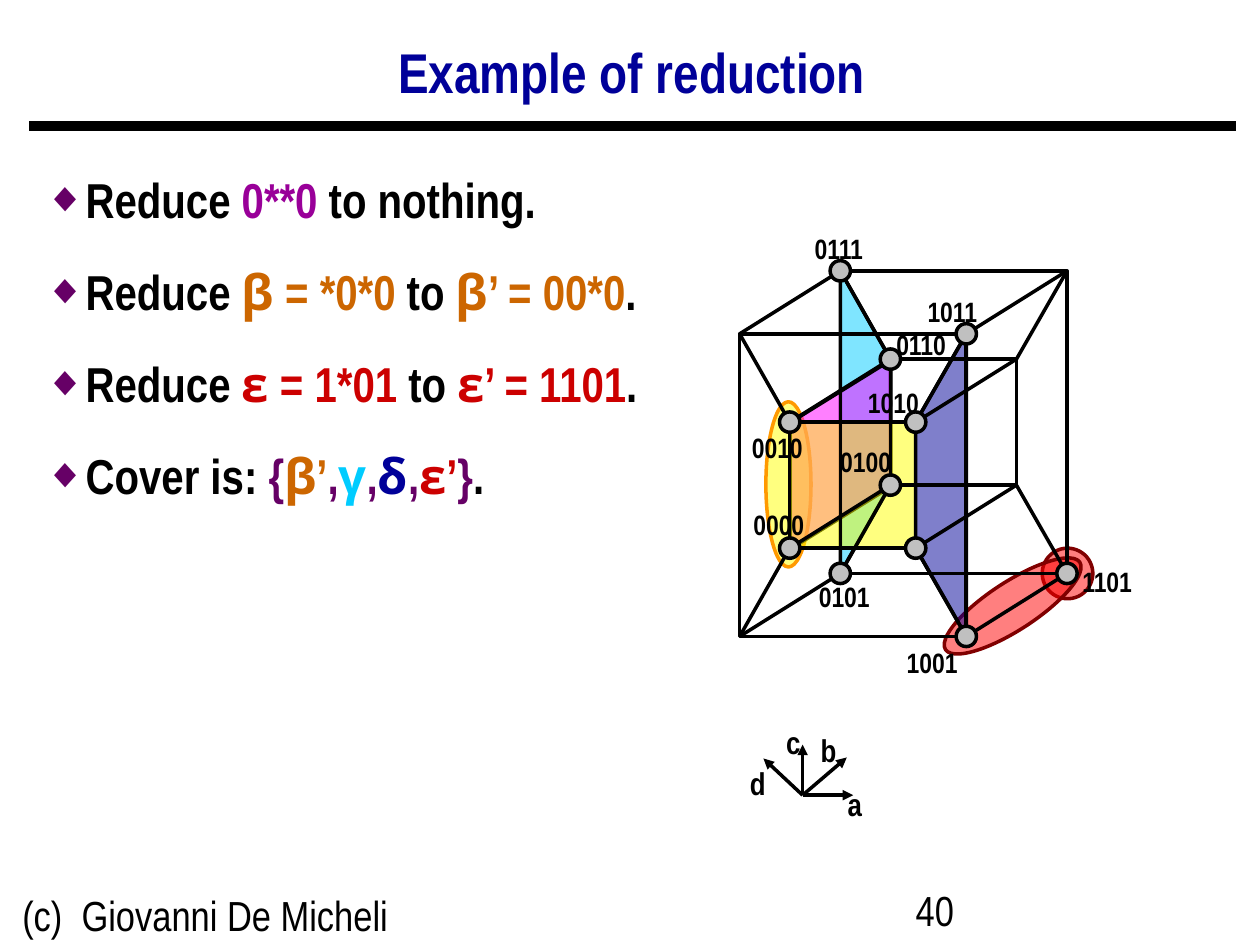
from itertools import product

from lxml import etree
from pptx import Presentation
from pptx.dml.color import RGBColor
from pptx.enum.shapes import MSO_CONNECTOR, MSO_SHAPE
from pptx.enum.text import MSO_ANCHOR, MSO_AUTO_SIZE, PP_ALIGN
from pptx.oxml.ns import qn
from pptx.util import Cm, Pt

STRAIGHT = MSO_CONNECTOR.STRAIGHT
OVAL, RECTANGLE = MSO_SHAPE.OVAL, MSO_SHAPE.RECTANGLE
PARALLELOGRAM = MSO_SHAPE.PARALLELOGRAM
CENTER = PP_ALIGN.CENTER
MIDDLE, TOP = MSO_ANCHOR.MIDDLE, MSO_ANCHOR.TOP
NO_FIT, GROW = MSO_AUTO_SIZE.NONE, MSO_AUTO_SIZE.SHAPE_TO_FIT_TEXT

BLACK = RGBColor(0x00, 0x00, 0x00)
GREY = RGBColor(0xC0, 0xC0, 0xC0)
NAVY = RGBColor(0x00, 0x00, 0x99)
PLUM = RGBColor(0x66, 0x00, 0x66)
PURPLE = RGBColor(0x99, 0x00, 0x99)
BROWN = RGBColor(0xCC, 0x66, 0x00)
CRIMSON = RGBColor(0xCC, 0x00, 0x00)
CYAN = RGBColor(0x00, 0xCC, 0xFF)
MAGENTA = RGBColor(0xFF, 0x00, 0xFF)
YELLOW = RGBColor(0xFF, 0xFF, 0x00)
ORANGE = RGBColor(0xFF, 0x99, 0x00)
RED = RGBColor(0xFF, 0x00, 0x00)
MAROON = RGBColor(0x80, 0x00, 0x00)

BULLETS = [
    [("Reduce ", BLACK), ("0**0", PURPLE), (" to nothing.", BLACK)],
    [("Reduce ", BLACK), ("β", BROWN), (" = *0*0", BROWN), (" to ", BLACK),
     ("β", BROWN), ("’ = 00*0", BROWN), (".", BLACK)],
    [("Reduce ", BLACK), ("ε", CRIMSON), (" = 1*01", CRIMSON), (" to ", BLACK),
     ("ε", CRIMSON), ("’ = 1101", CRIMSON), (".", BLACK)],
    [("Cover is: ", BLACK), ("{", PLUM), ("β", BROWN), ("’", BROWN), (",", PLUM),
     ("γ", CYAN), (",", PLUM), ("δ", NAVY), (",", PLUM), ("ε", CRIMSON),
     ("’", CRIMSON), ("}", PLUM), (".", BLACK)],
]
VERTEX_LABELS = {
    "1001": (18.03, 12.88), "0111": (16.15, 4.55), "1011": (18.44, 5.82),
    "0110": (17.81, 6.48), "0010": (14.91, 8.56), "0000": (14.94, 10.11),
    "0101": (16.26, 11.56), "1101": (21.56, 11.25), "0100": (16.69, 8.84),
    "1010": (17.25, 7.65),
}
NODES = [*VERTEX_LABELS, "1000"]
NODE_SIZE = 0.41
AXES_ORIGIN = (16.18, 16.03)
AXES = {  # letter: (arrow tip, corner of the letter box)
    "a": ((17.2, 16.03), (16.84, 15.7)),
    "b": ((17.07, 15.27), (16.31, 14.61)),
    "c": ((16.18, 15.01), (15.6, 14.45)),
    "d": ((15.39, 15.29), (14.88, 15.27)),
}


def vertex(code):
    """Position in cm of the hypercube vertex with bits a, b, c, d."""
    a, b, c, d = map(int, code)
    left, bottom, width, height = (14.91, 12.83, 4.57, 6.1) if d else (15.92, 11.05, 2.54, 2.54)
    return left + a * width + b * 2.03, bottom - c * height - b * 1.27


def set_values(target, values):
    for name, value in values.items():
        setattr(target, name, value)


class SlideBuilder:
    font, greek_font = "Arial Narrow", "Noto Sans"

    def __init__(self, slide):
        self.slide = slide
        self.shapes = slide.shapes

    def place(self, shape, left, top, width, height):
        set_values(shape, {"left": Cm(left), "top": Cm(top),
                           "width": Cm(width), "height": Cm(height)})

    def run(self, paragraph, text, size, colour=BLACK, bold=True):
        run = paragraph.add_run()
        run.text = text
        name = self.greek_font if text in "βγδε" else self.font
        set_values(run.font, {"name": name, "size": Pt(size), "bold": bold})
        run.font.color.rgb = colour

    def title(self, text, *box):
        shape = self.shapes.title
        self.place(shape, *box)
        set_values(shape.text_frame, {"vertical_anchor": MIDDLE, "auto_size": NO_FIT})
        paragraph = shape.text_frame.paragraphs[0]
        set_values(paragraph, {"alignment": CENTER, "line_spacing": 0.9})
        self.run(paragraph, text, 32, NAVY)

    def bullets(self, items, *box):
        shape = self.slide.placeholders[1]
        self.place(shape, *box)
        frame = shape.text_frame
        set_values(frame, {"vertical_anchor": TOP, "auto_size": NO_FIT})
        for index, item in enumerate(items):
            paragraph = frame.add_paragraph() if index else frame.paragraphs[0]
            set_values(paragraph, {"line_spacing": 1.25,
                                   "space_before": Pt(10.5 if index else 0)})
            properties = paragraph._p.get_or_add_pPr()
            properties.set("marL", str(Cm(0.79)))
            properties.set("indent", str(Cm(-0.79)))
            colour = etree.SubElement(properties, qn("a:buClr"))
            etree.SubElement(colour, qn("a:srgbClr"), val=str(PLUM))
            etree.SubElement(properties, qn("a:buSzPct"), val="85000")
            etree.SubElement(properties, qn("a:buChar"), char="◆")
            for text, text_colour in item:
                self.run(paragraph, text, 28, text_colour)

    def text(self, text, size, *box, bold=False):
        frame = self.shapes.add_textbox(*map(Cm, box)).text_frame
        frame.word_wrap = True
        self.run(frame.paragraphs[0], text, size, bold=bold)
        return frame

    def label(self, text, size, *box):
        frame = self.text(text, size, *box, bold=True)
        set_values(frame, {"word_wrap": False, "auto_size": GROW,
                           "margin_left": 0, "margin_right": 0})
        frame.paragraphs[0].alignment = CENTER

    def line(self, start, end, width=2, arrow=False, cap="flat"):
        connector = self.shapes.add_connector(STRAIGHT, *map(Cm, (*start, *end)))
        connector.line.color.rgb = BLACK
        connector.line.width = Pt(width)
        outline = connector.line._get_or_add_ln()
        outline.set("cap", cap)
        if arrow:
            etree.SubElement(outline, qn("a:tailEnd"), type="triangle")
        etree.SubElement(connector._element.spPr, qn("a:effectLst"))

    def paint(self, shape, fill, outline, alpha):
        shape.shadow.inherit = False
        shape.line.color.rgb = outline
        shape.line.width = Pt(2)
        if fill is None:
            shape.fill.background()
            return
        shape.fill.solid()
        shape.fill.fore_color.rgb = fill
        if alpha < 100:
            colour = shape._element.spPr.find(qn("a:solidFill"))[0]
            etree.SubElement(colour, qn("a:alpha"), val=str(alpha * 1000))

    def shape(self, kind, *box, fill=None, outline=BLACK, alpha=50, rotation=0):
        shape = self.shapes.add_shape(kind, *map(Cm, box))
        shape.rotation = rotation
        self.paint(shape, fill, outline, alpha)
        return shape

    def face(self, low, high, fill=None):
        """Upright rectangle between its lower left and upper right vertices."""
        left, bottom = vertex(low)
        right, top = vertex(high)
        self.shape(RECTANGLE, left, top, right - left, bottom - top, fill=fill)

    def polygon(self, codes, fill):
        points = [tuple(map(Cm, vertex(code))) for code in codes]
        builder = self.shapes.build_freeform(*points[0])
        builder.add_line_segments(points[1:], close=True)
        self.paint(builder.convert_to_shape(), fill, BLACK, 50)


def main():
    presentation = Presentation()
    set_values(presentation, {"slide_width": Cm(25.4), "slide_height": Cm(19.05)})
    builder = SlideBuilder(presentation.slides.add_slide(presentation.slide_layouts[1]))

    builder.line((0.69, 2.54), (24.82, 2.54), width=6, cap="sq")
    builder.text("(c)  Giovanni De Micheli", 24, 0.2, 17.81, 8.03, 1.32)
    builder.text("40", 24, 18.21, 17.7, 5.92, 1.32)
    builder.shape(OVAL, 21.01, 11.05, 1.02, 1.02, fill=RED, outline=MAROON, rotation=327)
    builder.shape(OVAL, 15.44, 8.1, 0.91, 3.33, fill=YELLOW, outline=ORANGE)
    builder.title("Example of reduction", 0.66, 0.56, 24.16, 1.9)
    builder.bullets(BULLETS, 0.64, 3, 24.16, 14.45)

    for letter, (tip, corner) in AXES.items():
        builder.line(AXES_ORIGIN, tip, arrow=True)
        builder.label(letter, 18, *corner, 0.79, 1.02)

    builder.polygon(["0101", "0100", "0110", "0111"], CYAN)
    slanted_face = builder.shape(PARALLELOGRAM, 15.04, 8.15, 3.81, 2.03,
                                 fill=MAGENTA, rotation=90)
    slanted_face.adjustments[0] = 0.62
    slanted_face._element.spPr.xfrm.set("flipH", "1")
    builder.face("0000", "1010", YELLOW)
    builder.shape(OVAL, 18.8, 11.73, 3.23, 0.97, fill=RED, outline=MAROON, rotation=327)
    builder.polygon(["1011", "1010", "1000", "1001"], NAVY)

    for b, d in product("01", repeat=2):
        builder.face(f"0{b}0{d}", f"1{b}1{d}")
    for a, c, bit in product("01", repeat=3):
        builder.line(vertex(f"{a}0{c}{bit}"), vertex(f"{a}1{c}{bit}"))
        builder.line(vertex(f"{a}{bit}{c}0"), vertex(f"{a}{bit}{c}1"))

    for code, corner in VERTEX_LABELS.items():
        builder.label(code, 16, *corner, 1.52, 0.94)
    for code in NODES:
        x, y = vertex(code)
        builder.shape(OVAL, x - NODE_SIZE / 2, y - NODE_SIZE / 2, NODE_SIZE, NODE_SIZE,
                      fill=GREY, alpha=100)
    presentation.save("out.pptx")


if __name__ == "__main__":
    main()
